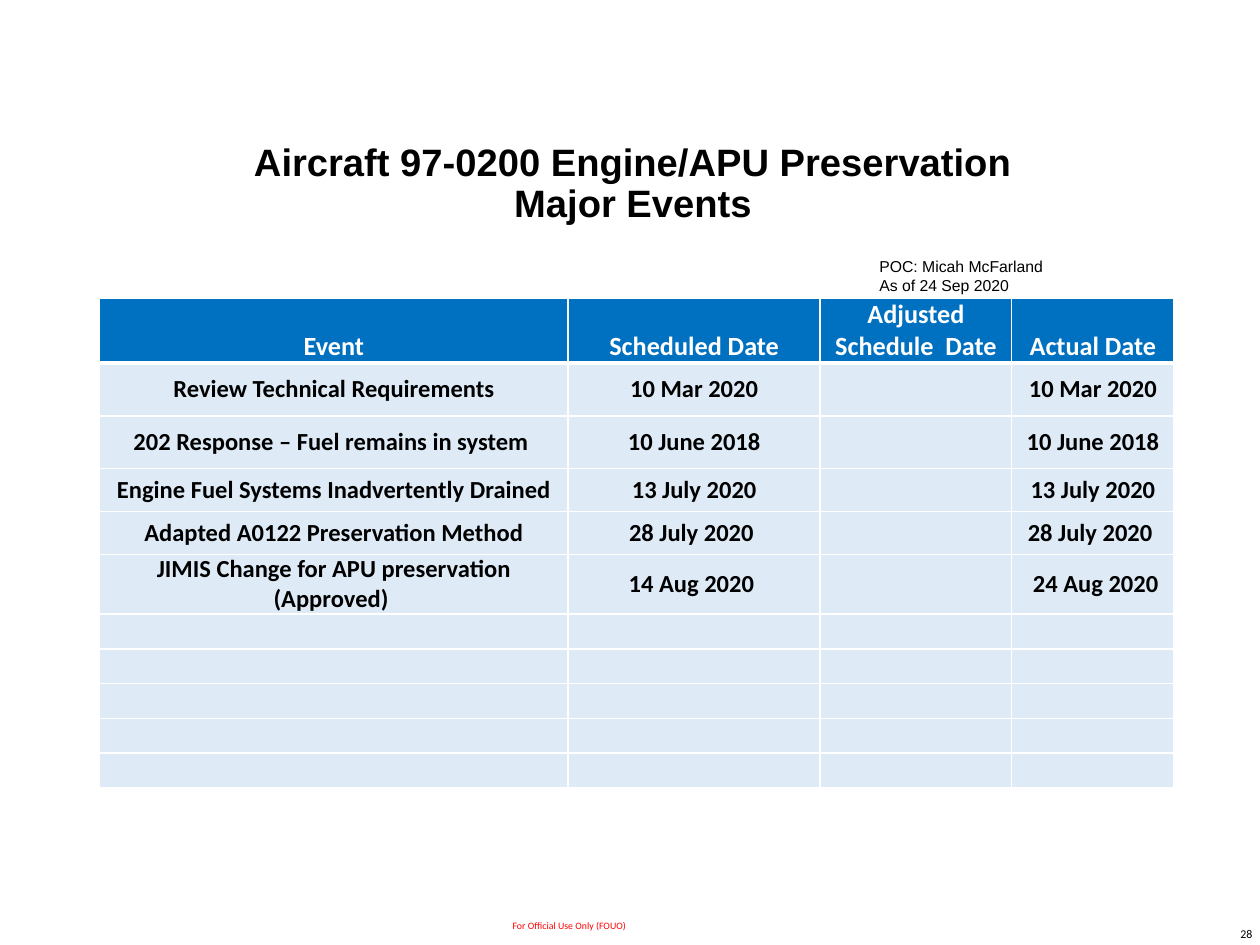
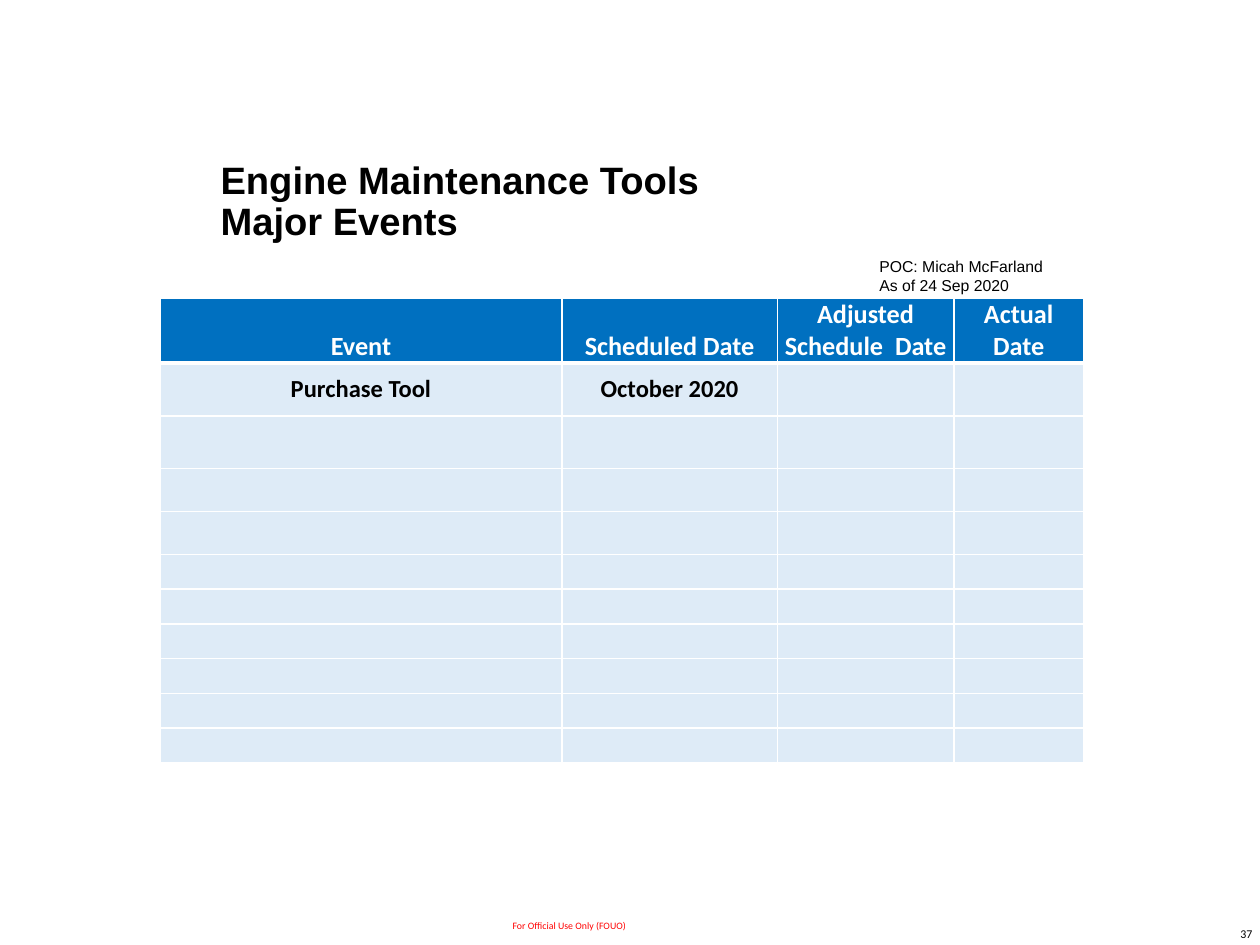
from copy import deepcopy

from lxml import etree
from pptx import Presentation
from pptx.dml.color import RGBColor
from pptx.enum.text import MSO_ANCHOR, MSO_AUTO_SIZE, PP_ALIGN
from pptx.oxml.ns import qn
from pptx.util import Inches, Pt

TOP, MIDDLE, BOTTOM = MSO_ANCHOR.TOP, MSO_ANCHOR.MIDDLE, MSO_ANCHOR.BOTTOM
LEFT, CENTER, RIGHT = PP_ALIGN.LEFT, PP_ALIGN.CENTER, PP_ALIGN.RIGHT
NO_FIT = MSO_AUTO_SIZE.NONE
TITLE_ONLY = 5

COLORS = {"text": "000000", "white": "FFFFFF", "header": "0070C0",
          "body": "DEEBF7", "marking": "FF0000"}


def grid(*units):
    """Lengths on a grid of 100 columns by 75 rows."""
    return [round(u * Inches(0.1)) for u in units]


def write(tf, *lines, font="Calibri", size=14, color="text", bold=False,
          align=LEFT, anchor=TOP, wrap=True, spacing=None):
    tf.auto_size = NO_FIT
    tf.word_wrap = wrap
    tf.vertical_anchor = anchor
    for i, line in enumerate(lines):
        p = tf.add_paragraph() if i else tf.paragraphs[0]
        p.text = line
        p.alignment = align
        p.line_spacing = spacing
        for r in p.runs:
            r.font.name = font
            r.font.size = Pt(size)
            r.font.bold = bold
            r.font.color.rgb = RGBColor.from_string(COLORS[color])
        for br in p._p.findall(qn("a:br")):
            br.insert(0, deepcopy(p.runs[0]._r.rPr))


HEADINGS = ["Event", "Scheduled Date", "Adjusted Schedule  Date", "Actual Date"]
SLIDES = [
    dict(number="28", title="Aircraft 97-0200 Engine/APU Preservation\vMajor Events",
         title_format=dict(align=CENTER, anchor=TOP), title_inset=0,
         left=7.9, columns=[37.2, 20, 15.2, 12.9],
         rows=[5, 4.2, 4.2, 3.4, 3.4, 4.7] + [2.76] * 5,
         events=[
             ["Review Technical Requirements", "10 Mar 2020", "", "10 Mar 2020"],
             ["202 Response – Fuel remains in system ", "10 June 2018", "", "10 June 2018"],
             ["Engine Fuel Systems Inadvertently Drained", "13 July 2020", "", "13 July 2020"],
             ["Adapted A0122 Preservation Method", "28 July 2020 ", "", "28 July 2020 "],
             ["JIMIS Change for APU preservation (Approved) ", "14 Aug 2020 ", "",
              " 24 Aug 2020"],
         ]),
    dict(number="37", title="Engine Maintenance Tools \vMajor Events",
         title_format=dict(align=LEFT, anchor=MIDDLE), title_inset=0.5,
         left=12.7, columns=[31.9, 17.1, 14, 10.3],
         rows=[5, 4.2, 4.2, 3.4, 3.4] + [2.76] * 6,
         events=[["Purchase Tool", "October 2020", "", ""]]),
]

prs = Presentation()
prs.slide_width, prs.slide_height = grid(100, 75)

for page in SLIDES:
    s = prs.slides.add_slide(prs.slide_layouts[TITLE_ONLY])

    # Page number and marking
    tf = s.shapes.add_textbox(*grid(79.2, 70, 20.8, 5)).text_frame
    tf.margin_left, tf.margin_top, tf.margin_right, tf.margin_bottom = grid(0.6, 0.3, 0.6, 0.3)
    write(tf, page["number"], size=6.8, align=RIGHT, anchor=BOTTOM)
    tf = s.shapes.add_textbox(*grid(39.7, 72.5, 11.3, 2)).text_frame
    write(tf, "For Official Use Only (FOUO)", size=5.6, color="marking", wrap=False)

    # Title
    title = s.shapes.title
    title.left, title.top, title.width, title.height = grid(16.5, 11.4, 67.5, 9.4)
    tf = title.text_frame
    tf.margin_top, tf.margin_bottom = grid(page["title_inset"], page["title_inset"])
    write(tf, page["title"], font="Arial", size=21.8, bold=True, spacing=0.9,
          **page["title_format"])

    # Event table
    columns, rows = page["columns"], page["rows"]
    box = grid(page["left"], 23.7, sum(columns), sum(rows))
    table = s.shapes.add_table(len(rows), len(columns), *box).table
    table.horz_banding = False
    for column, width in zip(table.columns, grid(*columns)):
        column.width = width
    for row, height in zip(table.rows, grid(*rows)):
        row.height = height

    content = [HEADINGS] + page["events"]
    content += [[""] * len(columns)] * (len(rows) - len(content))
    for i, texts in enumerate(content):
        head = i == 0
        for j, text in enumerate(texts):
            cell = table.cell(i, j)
            cell.margin_left, cell.margin_right = grid(0.4, 0.4)
            cell.margin_top = cell.margin_bottom = 0
            write(cell.text_frame, text, size=15 if head else 14, bold=True,
                  color="white" if head else "text", align=CENTER)
            cell.vertical_anchor = BOTTOM if head else MIDDLE
            if not text:
                end = etree.SubElement(cell.text_frame.paragraphs[0]._p, qn("a:endParaRPr"))
                end.set("sz", "1400")

            # White borders, heavier under the header
            tcPr = cell._tc.get_or_add_tcPr()
            for side in "LRTB":
                heavy = (i, side) in [(0, "B"), (1, "T")]
                ln = etree.SubElement(tcPr, qn("a:ln" + side), w=str(Pt(3 if heavy else 1)))
                fill = etree.SubElement(ln, qn("a:solidFill"))
                etree.SubElement(fill, qn("a:srgbClr"), val=COLORS["white"])
            cell.fill.solid()
            cell.fill.fore_color.rgb = RGBColor.from_string(COLORS["header" if head else "body"])

    # Point of contact
    tf = s.shapes.add_textbox(*grid(68.8, 19.9, 15.2, 4)).text_frame
    write(tf, "POC: Micah McFarland", "As of 24 Sep 2020", font="Arial", size=9)

prs.save("out.pptx")
